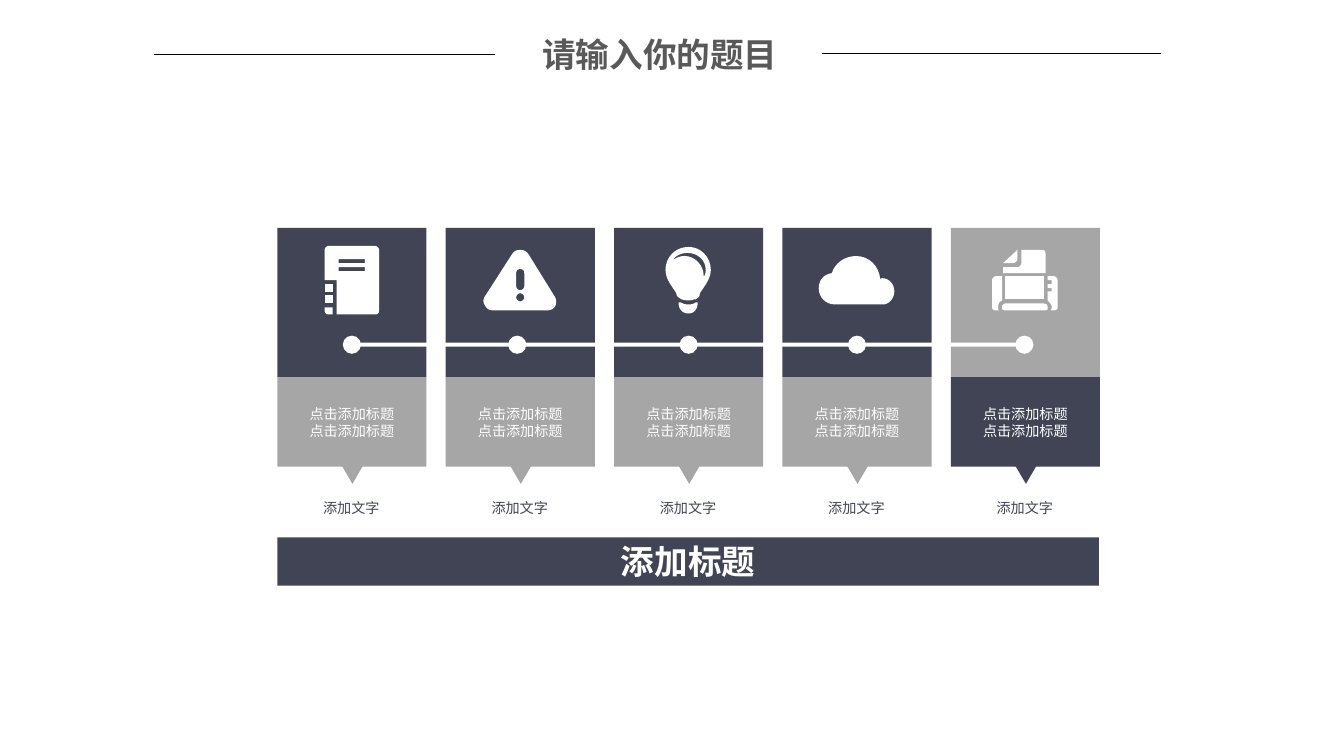
from lxml.etree import SubElement
from pptx import Presentation
from pptx.dml.color import RGBColor
from pptx.enum.shapes import MSO_CONNECTOR as Connector, MSO_SHAPE as Preset
from pptx.enum.text import MSO_ANCHOR as Anchor, PP_ALIGN as Align
from pptx.oxml.ns import qn
from pptx.util import Inches, Pt

FONT = "Noto Sans CJK SC"
NAVY, GRAY, WHITE, BLACK, TITLE_GRAY = "414455", "A6A6A6", "FFFFFF", "000000", "595959"
LEFT, TOP, SIDE, PITCH, LABEL_HEIGHT = 2.75, 2.26, 1.48, 1.67, 0.89
DOT_LEFTS = (3.4, 5.04, 6.74, 8.41, 10.07)
CURVE_STEPS = 8


def bar(left, top, right, bottom):
    return [(left, top), (right, top), (right, bottom), (left, bottom)]


# Each contour lists line ends (x, y) and curve ends (x1, y1, x2, y2, x, y).
NOTEBOOK = [
    [[(3.3, 3.12), (3.26, 3.12), (3.24, 3.12, 3.22, 3.11, 3.22, 3.08), (3.22, 3.05), (3.3, 3.05)]],
    [[(3.26, 2.44), (3.72, 2.44), (3.74, 2.44, 3.76, 2.46, 3.76, 2.48), (3.76, 3.08),
      (3.76, 3.11, 3.74, 3.12, 3.72, 3.12), (3.34, 3.12), (3.34, 2.78), (3.22, 2.78),
      (3.22, 2.48), (3.22, 2.46, 3.24, 2.44, 3.26, 2.44)],
     bar(3.36, 2.65, 3.62, 2.69), bar(3.36, 2.57, 3.62, 2.61)],
    [bar(3.22, 2.82, 3.3, 2.9)],
    [bar(3.22, 2.93, 3.3, 3.01)],
]
WARNING = [
    [[(5.08, 2.52), (5.1, 2.49, 5.12, 2.48, 5.16, 2.48), (5.19, 2.48, 5.22, 2.49, 5.24, 2.52),
      (5.5, 2.94), (5.52, 2.97, 5.52, 3, 5.51, 3.03), (5.49, 3.07, 5.46, 3.08, 5.42, 3.08),
      (4.89, 3.08), (4.86, 3.08, 4.83, 3.07, 4.81, 3.03), (4.79, 3, 4.79, 2.97, 4.81, 2.94)],
     [(5.16, 2.99), (5.18, 2.99, 5.2, 2.97, 5.2, 2.95), (5.2, 2.93, 5.18, 2.91, 5.16, 2.91),
      (5.14, 2.91, 5.12, 2.93, 5.12, 2.95), (5.12, 2.97, 5.14, 2.99, 5.16, 2.99)],
     [(5.12, 2.84), (5.12, 2.86, 5.14, 2.88, 5.16, 2.88), (5.18, 2.88, 5.2, 2.86, 5.2, 2.84),
      (5.2, 2.71), (5.2, 2.68, 5.18, 2.67, 5.16, 2.67), (5.14, 2.67, 5.12, 2.68, 5.12, 2.71)]],
]
BULB = [
    [[(6.75, 3), (6.77, 3.01, 6.79, 3.02, 6.82, 3.02), (6.84, 3.02),
      (6.86, 3.02, 6.89, 3.01, 6.9, 3), (6.92, 3), (6.92, 3.06, 6.89, 3.11, 6.83, 3.11),
      (6.76, 3.11, 6.73, 3.06, 6.73, 3)]],
    [[(6.83, 2.45), (6.95, 2.45, 7.05, 2.55, 7.05, 2.68), (7.05, 2.79, 6.94, 2.89, 6.94, 2.92),
      (6.94, 2.94, 6.93, 2.95, 6.9, 2.97), (6.88, 2.97, 6.86, 2.98, 6.84, 2.98), (6.83, 2.98),
      (6.81, 2.98, 6.79, 2.98, 6.76, 2.97), (6.73, 2.95, 6.71, 2.94, 6.71, 2.92),
      (6.71, 2.89, 6.6, 2.79, 6.6, 2.68), (6.6, 2.55, 6.7, 2.45, 6.83, 2.45)],
     [(6.79, 2.54), (6.89, 2.54, 6.98, 2.63, 6.98, 2.74), (6.98, 2.75),
      (6.99, 2.73, 7, 2.71, 7, 2.68), (7, 2.58, 6.92, 2.51, 6.82, 2.51),
      (6.76, 2.51, 6.71, 2.53, 6.67, 2.58), (6.71, 2.56, 6.74, 2.54, 6.79, 2.54)]],
]
CLOUD = [
    [[(8.25, 2.71), (8.28, 2.61, 8.38, 2.54, 8.49, 2.54), (8.62, 2.54, 8.72, 2.64, 8.73, 2.77),
      (8.73, 2.77, 8.74, 2.76, 8.75, 2.76), (8.82, 2.76, 8.87, 2.82, 8.87, 2.89),
      (8.87, 2.95, 8.83, 3.01, 8.77, 3.02), (8.28, 3.02),
      (8.19, 3.02, 8.12, 2.95, 8.12, 2.86), (8.12, 2.78, 8.17, 2.72, 8.25, 2.71)]],
]
PRINTER = [
    [[(9.88, 2.74), (9.94, 2.74), (9.94, 2.98), (9.91, 3), (9.9, 3.03), (9.9, 3.07),
      (9.91, 3.08), (9.88, 3.08), (9.86, 3.08, 9.84, 3.07, 9.84, 3.05), (9.84, 2.78),
      (9.84, 2.76, 9.86, 2.74, 9.88, 2.74)]],
    [[(9.94, 3.03), (9.95, 3.02), (9.97, 3.01), (10.35, 3.01), (10.38, 3.02), (10.39, 3.04),
      (10.39, 3.07), (10.38, 3.08, 10.37, 3.08, 10.35, 3.08), (9.97, 3.08), (9.94, 3.07)]],
    [[(10.39, 2.97), (10.39, 2.89), (10.43, 2.89), (10.43, 2.86), (10.39, 2.86), (10.39, 2.82),
      (10.43, 2.82), (10.43, 2.78), (10.39, 2.78), (10.39, 2.74), (10.45, 2.74),
      (10.47, 2.74, 10.49, 2.76, 10.49, 2.78), (10.49, 3.05),
      (10.49, 3.07, 10.47, 3.08, 10.45, 3.08), (10.42, 3.08), (10.43, 3.06), (10.43, 3.03),
      (10.41, 3), (10.39, 2.98)]],
    [[(10.05, 2.61), (9.95, 2.61), (10.09, 2.48), (10.09, 2.57),
      (10.09, 2.59, 10.07, 2.61, 10.05, 2.61)]],
    [[(9.95, 2.65), (10.09, 2.65), (10.11, 2.65, 10.13, 2.63, 10.13, 2.61), (10.13, 2.48),
      (10.33, 2.48), (10.36, 2.48, 10.37, 2.49, 10.37, 2.52), (10.37, 2.71), (9.95, 2.71)]],
    [bar(9.97, 2.74, 10.35, 2.97)],
]


def color(value):
    return RGBColor.from_string(value)


def paint(shape, fill):
    shape.shadow.inherit = False
    shape.fill.solid()
    shape.fill.fore_color.rgb = color(fill)
    shape.line.fill.background()


def add_block(page, preset, left, top, width, height, fill):
    block = page.shapes.add_shape(preset, Inches(left), Inches(top), Inches(width), Inches(height))
    paint(block, fill)
    return block


def write(box, text, size, ink, bold=False, align=Align.CENTER):
    box.text_frame.text = text
    for para in box.text_frame.paragraphs:
        para.alignment = align
        for span in para.runs:
            span.font.size = Pt(size)
            span.font.bold = bold
            span.font.color.rgb = color(ink)
            span.font.name = FONT
            SubElement(span.font._element, qn("a:ea"), typeface=FONT)


def add_label(page, left, top, width, height, text, size, ink, wrap=False, **style):
    box = page.shapes.add_textbox(Inches(left), Inches(top), Inches(width), Inches(height))
    box.text_frame.word_wrap = wrap
    write(box, text, size, ink, **style)


def add_rule(page, start, end, height):
    rule = page.shapes.add_connector(
        Connector.STRAIGHT, Inches(start), Inches(height), Inches(end), Inches(height))
    rule.line.color.rgb = color(BLACK)
    rule.line.width = Pt(0.5)
    SubElement(rule._element.spPr, qn("a:effectLst"))


def trace(contour):
    points = [contour[0]]
    for step in contour[1:]:
        if len(step) == 2:
            points.append(step)
            continue
        corners = [points[-1], step[:2], step[2:4], step[4:]]
        for part in range(1, CURVE_STEPS + 1):
            t = part / CURVE_STEPS
            weights = ((1 - t) ** 3, 3 * t * (1 - t) ** 2, 3 * t * t * (1 - t), t ** 3)
            points.append(tuple(
                sum(weight * corner[axis] for weight, corner in zip(weights, corners))
                for axis in (0, 1)))
    return [(Inches(x), Inches(y)) for x, y in points]


def add_icon(page, parts):
    for contours in parts:
        first, *holes = [trace(contour) for contour in contours]
        builder = page.shapes.build_freeform(*first[0])
        builder.add_line_segments(first[1:], close=True)
        for hole in holes:
            builder.move_to(*hole[0])
            builder.add_line_segments(hole[1:], close=True)
        paint(builder.convert_to_shape(), WHITE)


def add_column(page, left, icon, head, foot):
    middle = left + SIDE / 2
    label_top = TOP + SIDE
    add_block(page, Preset.RECTANGLE, left, TOP, SIDE, SIDE, head)
    label = add_block(page, Preset.RECTANGLE, left, label_top, SIDE, LABEL_HEIGHT, foot)
    label.text_frame.vertical_anchor = Anchor.MIDDLE
    write(label, "点击添加标题\n点击添加标题", 10.1, WHITE)
    add_icon(page, icon)
    pointer = add_block(page, Preset.ISOSCELES_TRIANGLE, middle - 0.1, 4.62, 0.21, 0.18, foot)
    pointer.rotation = 180
    add_label(page, middle - 0.39, 4.91, 0.77, 0.27, "添加文字", 10.1, NAVY)


def main():
    deck = Presentation()
    deck.slide_width, deck.slide_height = Inches(13.33), Inches(7.5)
    page = deck.slides.add_slide(deck.slide_layouts[6])

    add_rule(page, 1.53, 4.91, 0.54)
    add_rule(page, 8.15, 11.52, 0.53)
    add_label(page, 5.28, 0.29, 2.84, 0.5, "请输入你的题目", 24, TITLE_GRAY,
              wrap=True, bold=True, align=Align.LEFT)

    icons = (NOTEBOOK, WARNING, BULB, CLOUD, PRINTER)
    for index, icon in enumerate(icons):
        head, foot = (GRAY, NAVY) if icon is PRINTER else (NAVY, GRAY)
        add_column(page, LEFT + index * PITCH, icon, head, foot)

    for dot_left in DOT_LEFTS:
        add_block(page, Preset.OVAL, dot_left, 3.33, 0.18, 0.18, WHITE)
    add_block(page, Preset.RECTANGLE, 3.43, 3.4, 6.67, 0.04, WHITE)

    banner = add_block(page, Preset.RECTANGLE, LEFT, 5.33, 8.15, 0.48, NAVY)
    banner.text_frame.vertical_anchor = Anchor.MIDDLE
    write(banner, "添加标题", 24, WHITE, bold=True)

    deck.save("out.pptx")


main()
